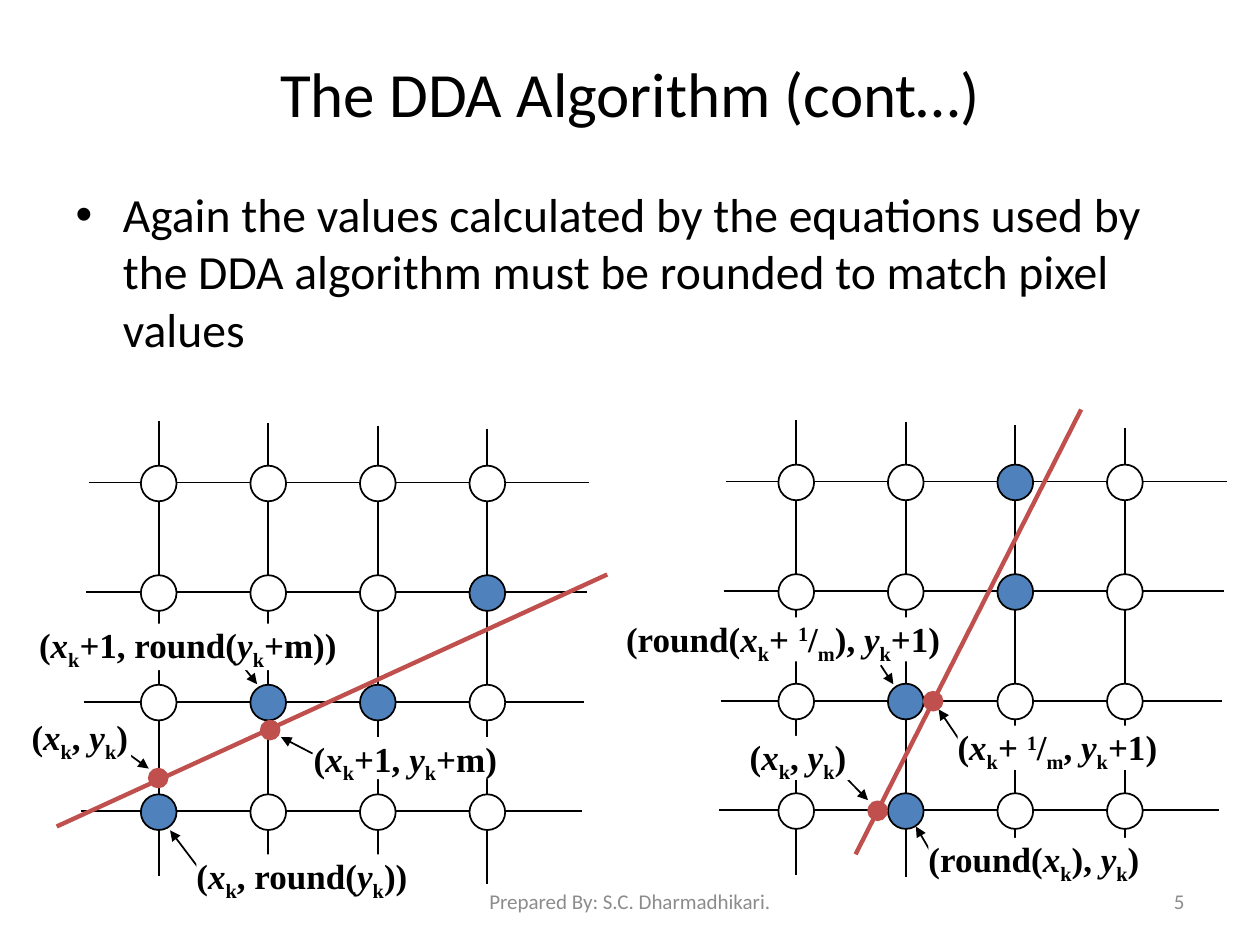
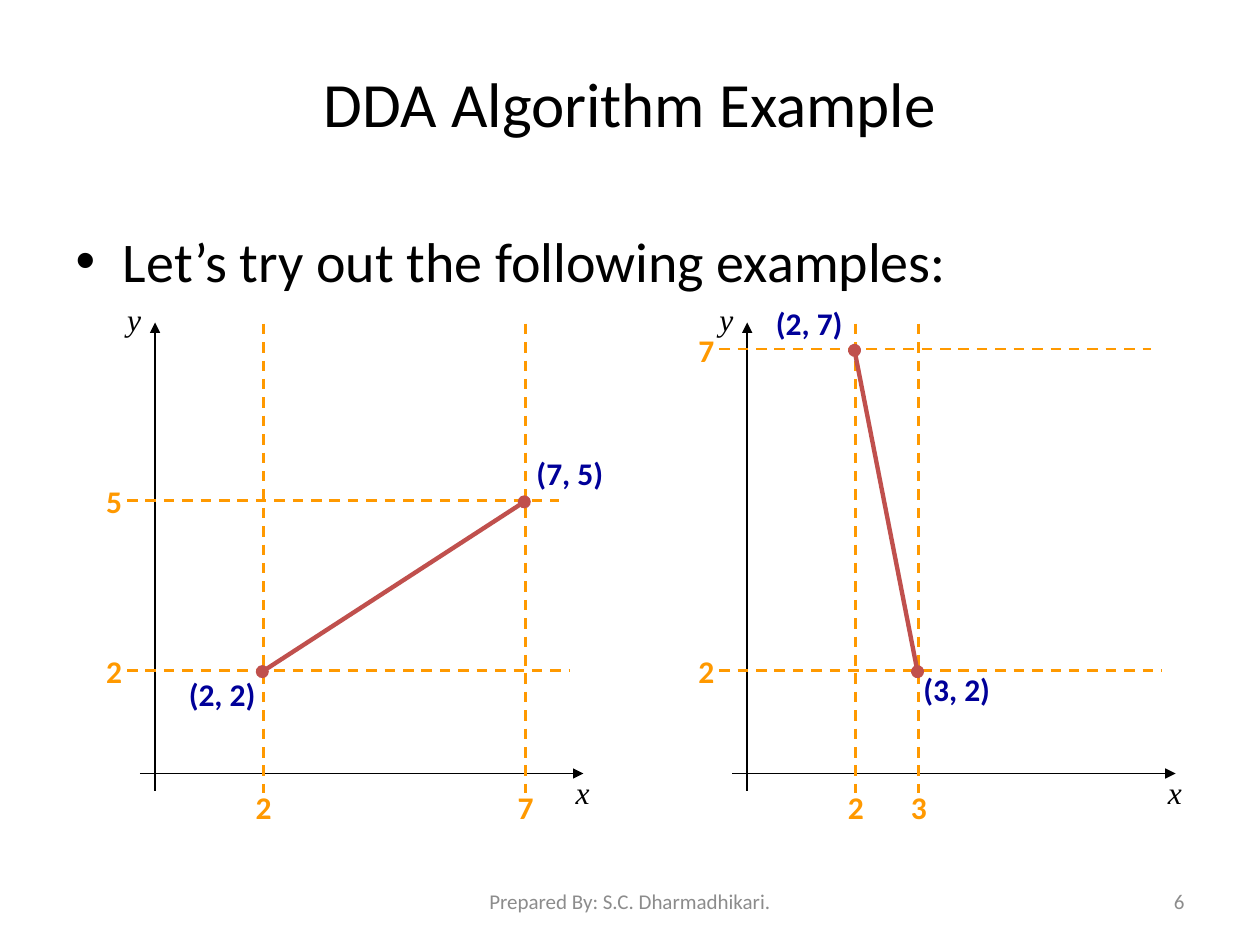
from lxml import etree
from pptx import Presentation
from pptx.dml.color import RGBColor
from pptx.enum.dml import MSO_LINE
from pptx.enum.shapes import MSO_CONNECTOR, MSO_SHAPE
from pptx.enum.text import MSO_ANCHOR, MSO_AUTO_SIZE, PP_ALIGN
from pptx.oxml.ns import qn
from pptx.util import Pt

DASH = MSO_LINE.DASH
STRAIGHT = MSO_CONNECTOR.STRAIGHT
OVAL, RECT = MSO_SHAPE.OVAL, MSO_SHAPE.RECTANGLE
TOP, MIDDLE = MSO_ANCHOR.TOP, MSO_ANCHOR.MIDDLE
FIXED, GROW = MSO_AUTO_SIZE.NONE, MSO_AUTO_SIZE.SHAPE_TO_FIT_TEXT
LEFT, CENTER, RIGHT = PP_ALIGN.LEFT, PP_ALIGN.CENTER, PP_ALIGN.RIGHT

COLORS = {"ink": "000000", "paper": "FFFFFF", "pixel": "4F81BD", "path": "C0504D",
          "guide": "FF9900", "point": "000099", "foot": "8C8C8C"}
SANS, SERIF = "Calibri", "Times New Roman"
STEP = 62.6


def tint(name):
    return RGBColor.from_string(COLORS[name])


class Deck:
    """Holds the shared style and the current slide."""

    def __init__(self):
        self.prs = Presentation()
        self.prs.slide_width, self.prs.slide_height = Pt(720), Pt(540)
        self.slide = None

    def start(self, title, title_box, body, body_box, size):
        self.slide = self.prs.slides.add_slide(self.prs.slide_layouts[1])
        holders = self.slide.placeholders
        self.fill(holders[0], title, title_box, 36)
        self.fill(holders[1], body, body_box, size)

    def fill(self, holder, text, box, size):
        holder.left, holder.top, holder.width, holder.height = map(Pt, box)
        holder.text_frame.text = text
        holder.text_frame.auto_size = FIXED
        self.style(holder.text_frame.paragraphs[0].runs[0], size)

    def style(self, run, size, color="ink", font=SANS, bold=None, italic=None):
        run.font.size, run.font.name = Pt(size), font
        run.font.bold, run.font.italic = bold, italic
        run.font.color.rgb = tint(color)

    def foot(self, number):
        notes = [(number, (516, 500.5, 168, 28.8), RIGHT),
                 ("Prepared By: S.C. Dharmadhikari.", (246, 500.5, 228, 28.8), CENTER)]
        for text, box, align in notes:
            frame = self.slide.shapes.add_textbox(*map(Pt, box)).text_frame
            frame.word_wrap = True
            frame.vertical_anchor = MIDDLE
            frame.text = text
            frame.paragraphs[0].alignment = align
            self.style(frame.paragraphs[0].runs[0], 12, "foot")

    def text(self, text, left, top, width, color="ink", font=SANS):
        box = self.slide.shapes.add_textbox(Pt(left), Pt(top), Pt(width), Pt(29))
        frame = box.text_frame
        frame.word_wrap = False
        frame.auto_size = GROW
        frame.text = text
        serif = font == SERIF
        self.style(frame.paragraphs[0].runs[0], 18, color, font, not serif, serif)

    def shape(self, kind, box, fill, line=None):
        shape = self.slide.shapes.add_shape(kind, *map(Pt, box))
        shape.shadow.inherit = False
        shape.fill.solid()
        shape.fill.fore_color.rgb = tint(fill)
        if line:
            shape.line.color.rgb = tint(line)
            shape.line.width = Pt(1)
        else:
            shape.line.fill.background()
        return shape

    def dot(self, x, y, size, fill, line):
        self.shape(OVAL, (x - size / 2, y - size / 2, size, size), fill, line)

    def label(self, marks, box):
        """Writes a formula; * marks italic, _ subscript and ^ superscript."""
        frame = self.shape(RECT, box, "paper").text_frame
        frame.word_wrap = False
        frame.auto_size = GROW
        frame.vertical_anchor = TOP
        frame.margin_left = frame.margin_right = frame.margin_top = 0
        frame.margin_bottom = Pt(max(0, box[3] - 24))
        para = frame.paragraphs[0]
        para.alignment = LEFT
        shift = {"_": "-25000", "^": "30000"}
        for mark in marks.split("|"):
            run = para.add_run()
            run.text = mark.lstrip("*_^")
            self.style(run, 20, "ink", SERIF, True, mark[0] == "*")
            if mark[0] in shift:
                run.font._element.set("baseline", shift[mark[0]])

    def line(self, ends, color="ink", width=1, dash=None, head=None, tail=None):
        link = self.slide.shapes.add_connector(STRAIGHT, *map(Pt, ends))
        link.line.color.rgb = tint(color)
        link.line.width = Pt(width)
        if dash:
            link.line.dash_style = dash
        props = link.element.spPr
        for tag, kind in (("a:headEnd", head), ("a:tailEnd", tail)):
            if kind:
                etree.SubElement(props.find(qn("a:ln")), qn(tag)).set("type", kind)
        etree.SubElement(props, qn("a:effectLst"))

    def grid(self, left, top, lit, path, hits, arrows, labels):
        for i in range(4):
            x, y = left + i * STEP, top + i * STEP
            high, start = top - 35.3 + 1.5 * i, left - 40 - 1.4 * i
            self.line((x, high, x, high + 260))
            self.line((start, y, start + 286, y))
        for row in range(4):
            for col in range(4):
                fill = "pixel" if (row, col) in lit else "paper"
                self.dot(left + col * STEP, top + row * STEP + 0.5, 20.4, fill, "ink")
        self.line(path, "path", 2.5)
        for x, y in hits:
            self.dot(x, y, 10.8, "path", "path")
        for ends in arrows:
            self.line(ends, tail="triangle")
        for marks, box in labels:
            self.label(marks, box)

    def plot(self, left, cols, rows, points):
        self.line((left, 452, left, 184.3), tail="triangle")
        self.line((left - 8.6, 442, left + 244.8, 442), tail="triangle")
        self.text("x", left + 233.3, 438, 22.3, font=SERIF)
        self.text("y", left - 23, 168, 22.3, font=SERIF)
        for num, gap in cols.items():
            x = left + gap
            self.line((x, 185, x, 453), "guide", 1.5, DASH)
            self.text(str(num), x - 11.6, 447, 24.5, "guide")
        for num, y in rows.items():
            self.line((left - 16, y, left + (237 if num == 2 else 231), y),
                      "guide", 1.5, DASH)
            self.text(str(num), left - 35, y - 14, 24.5, "guide")
        ends = []
        for x, y, right, top in points:
            ends += [left + cols[x] - 0.7, rows[y] + 0.8]
            self.text(f"({x}, {y})", right, top, 56, "point")
        self.line(ends, "path", 2.5, head="oval", tail="oval")


def main():
    deck = Deck()
    deck.start("The DDA Algorithm (cont…)", (36, 30.2, 648, 44.6),
               "Again the values calculated by the equations used by the DDA "
               "algorithm must be rounded to match pixel values",
               (36, 102.2, 648, 88.6), 27.2)
    deck.grid(90.7, 275.8, {(1, 3), (2, 1), (2, 2), (3, 0)},
              (32.4, 472.3, 347, 328.3), [(90.4, 444.6), (154.4, 417.2)],
              [(72, 429.8, 85, 439.2), (178.6, 430.6, 160.6, 421.2),
               (113, 495.4, 97.2, 474.5), (139, 380.9, 146.9, 391)],
              [("(|*x|_k|, |*y|_k|)", (18, 409, 56.9, 24)),
               ("(|*x|_k|+1, |*y|_k|+m)", (179.3, 421.2, 105.8, 24)),
               ("(|*x|_k|, round(|*y|_k|))", (112.3, 488.2, 122.4, 32.4)),
               ("(|*x|_k|+1, round(|*y|_k|+m))", (22.3, 356.4, 171.4, 26.6))])
    deck.grid(455, 275.2, {(0, 2), (1, 2), (2, 1), (3, 1)},
              (617.8, 234, 488.9, 488.2), [(501.5, 463.3), (533.2, 400.7)],
              [(548.6, 423.4, 536.4, 405.4), (531.4, 486, 523.4, 472.3),
               (484.6, 445.7, 496, 457.2), (503.3, 380.2, 510.5, 391)],
              [("(|*x|_k|, |*y|_k|)", (428.4, 420.5, 56.9, 25.2)),
               ("(|*x|_k|+ |^1|/|_m|, |*y|_k|+1)", (547.2, 414.7, 117.4, 25.2)),
               ("(round(|*x|_k|), |*y|_k|)", (530.6, 478.8, 122.4, 26.6)),
               ("(round(|*x|_k|+ |^1|/|_m|), |*y|_k|+1)",
                (357.8, 352.8, 182.9, 25.2))])
    deck.foot("5")

    deck.start("DDA Algorithm Example", (36, 21.6, 648, 74.2),
               "Let’s try out the following examples:", (36, 126, 648, 356.4), 32)
    deck.plot(88.6, {2: 62, 7: 211.7}, {2: 383, 5: 286},
              [(2, 2, 100.8, 382.3), (7, 5, 299.5, 255.6)])
    deck.plot(427, {2: 62, 3: 98}, {2: 383, 7: 199.4},
              [(2, 7, 436.3, 169.9), (3, 2, 520.6, 379.4)])
    deck.foot("6")
    deck.prs.save("out.pptx")


if __name__ == "__main__":
    main()
